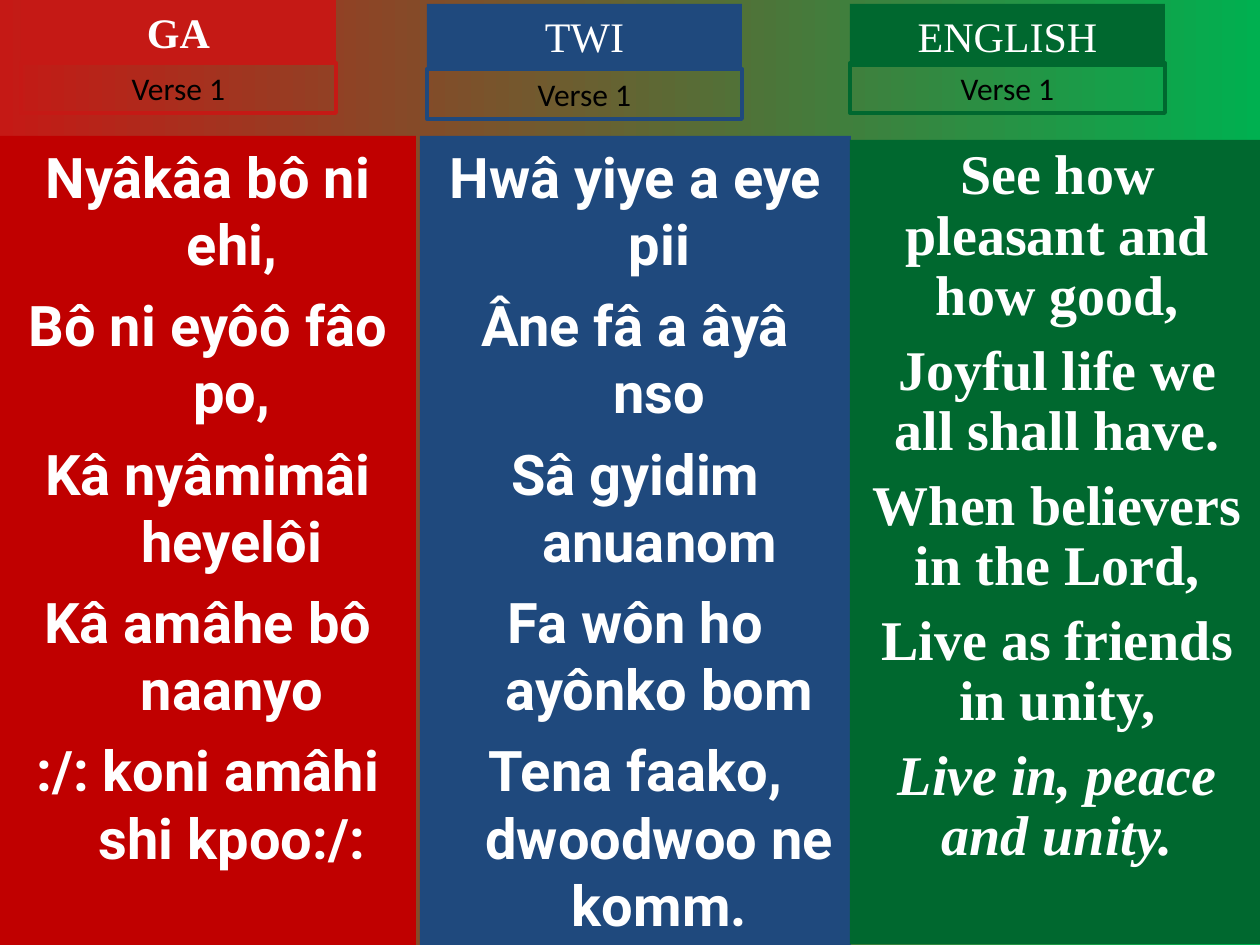
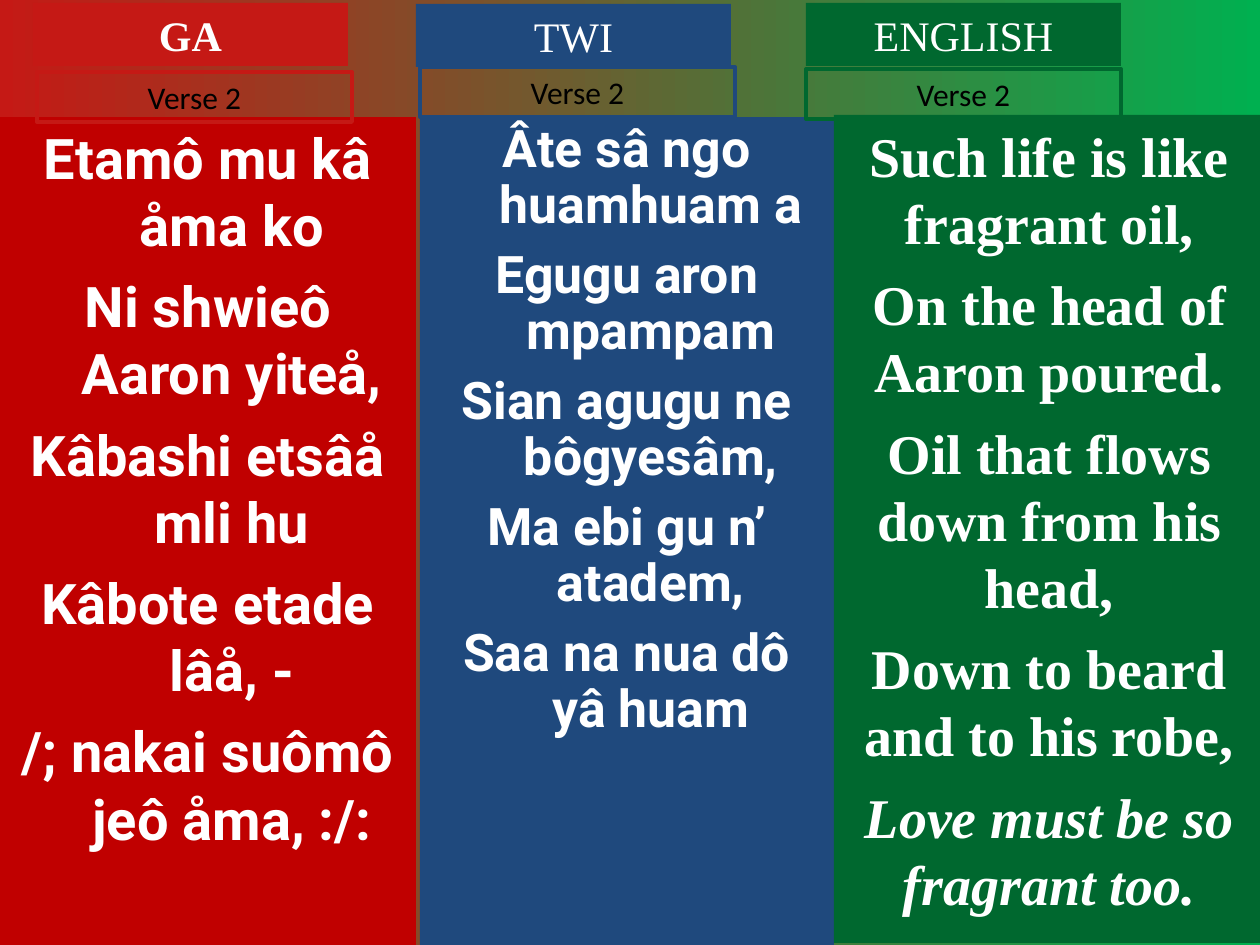
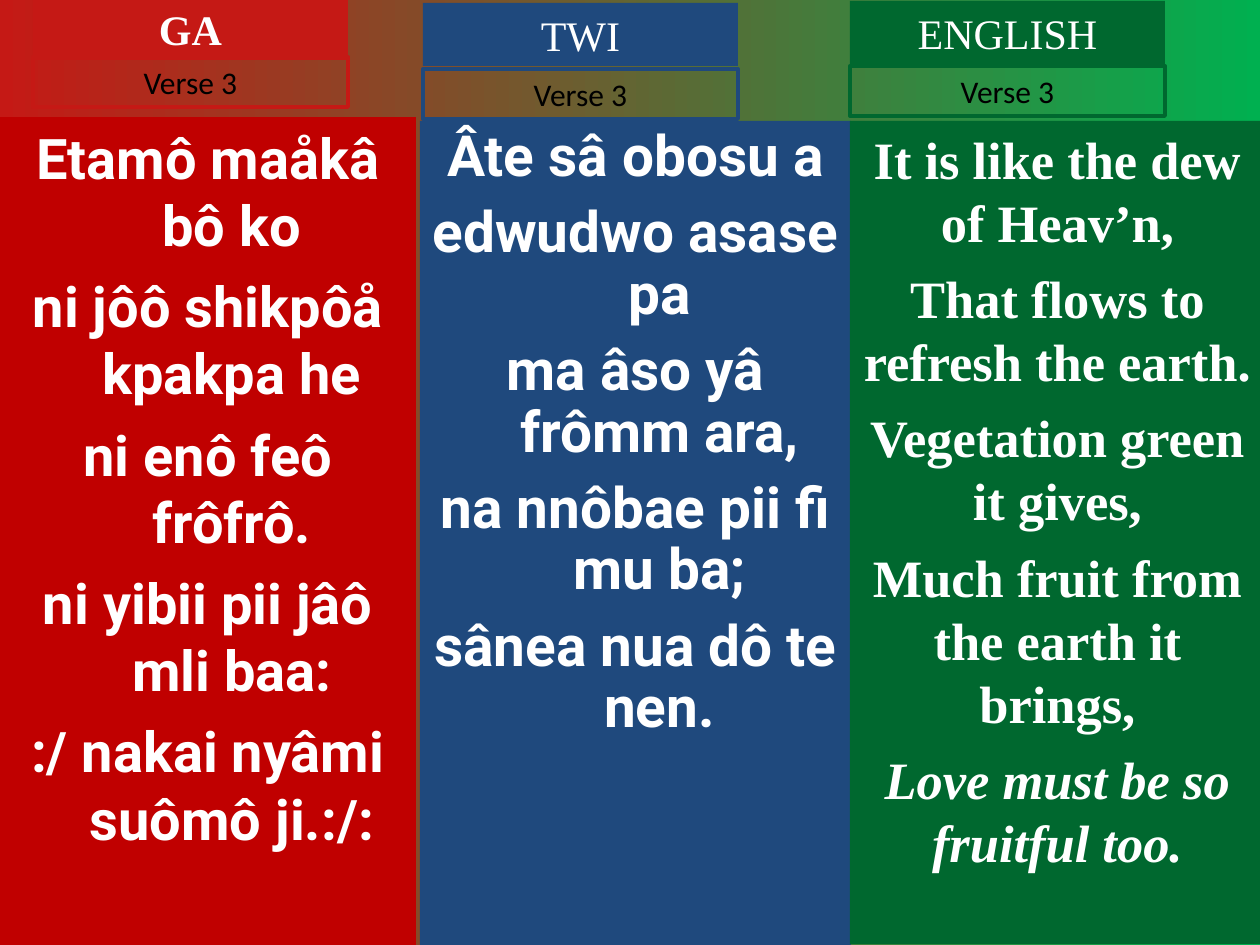
from pptx import Presentation
from pptx import util as u
from pptx.dml.color import RGBColor
from pptx.enum import shapes, text

PX = 914400 / 126
COLORS = {
    "red": "C51915",
    "deep_red": "C00000",
    "blue": "1F497D",
    "green": "00682F",
    "bright_green": "00B050",
    "white": "FFFFFF",
    "black": "000000",
}
SERIF, SANS, LABEL = "Times New Roman", "Roboto", "Calibri"
LANGUAGES = [
    {"name": "GA", "label": "red", "panel": "deep_red", "font": SANS,
     "hang": 48, "bold_head": True, "refrain": False},
    {"name": "TWI", "label": "blue", "panel": "blue", "font": SANS,
     "hang": 48, "bold_head": False, "refrain": False},
    {"name": "ENGLISH", "label": "green", "panel": "green", "font": SERIF,
     "hang": 0, "bold_head": False, "refrain": True},
]
LABEL_W, HEAD_H, VERSE_H = 315, 63, 50

VERSES = [
    [
        {"panel": (0, 136, 416, 809), "head": (21, 0), "verse": (21, 63),
         "lines": ["Nyâkâa bô ni ehi,", "Bô ni eyôô fâo po,",
                   "Kâ nyâmimâi heyelôi", "Kâ amâhe bô naanyo",
                   ":/: koni amâhi shi kpoo:/:"]},
        {"panel": (420, 136, 431, 809), "head": (427, 4), "verse": (427, 69),
         "lines": ["Hwâ yiye a eye pii", "Âne fâ a âyâ nso",
                   "Sâ gyidim anuanom", "Fa wôn ho ayônko bom",
                   "Tena faako, dwoodwoo ne komm."]},
        {"panel": (850, 140, 415, 804), "head": (850, 4), "verse": (850, 63),
         "spacing": 0.9,
         "lines": ["See how pleasant and how good,",
                   "Joyful life we all shall have.",
                   "When believers in the Lord,",
                   "Live as friends in unity,",
                   "Live in, peace and unity."]},
    ],
    [
        {"panel": (0, 117, 416, 828), "head": (33, 3), "verse": (37, 72),
         "lines": ["Etamô mu kâ åma ko", "Ni shwieô Aaron yiteå,",
                   "Kâbashi etsâå mli hu", "Kâbote etade lâå, -",
                   "/; nakai suômô jeô åma, :/:"]},
        {"panel": (420, 117, 414, 828), "head": (416, 4), "verse": (420, 67),
         "size": 29.6, "spacing": 0.9,
         "lines": ["Âte sâ ngo huamhuam a", "Egugu aron mpampam",
                   "Sian agugu ne bôgyesâm,", "Ma ebi gu n’ atadem,",
                   "Saa na nua dô yâ huam"]},
        {"panel": (834, 115, 431, 828), "head": (806, 3), "verse": (806, 69),
         "lines": ["Such life is like fragrant oil,",
                   "On the head of Aaron poured.",
                   "Oil that flows down from his head,",
                   "Down to beard and to his robe,",
                   "Love must be so fragrant too."]},
    ],
    [
        {"panel": (0, 117, 416, 828), "head": (33, -3), "verse": (33, 57),
         "lines": ["Etamô maåkâ bô ko", "ni jôô shikpôå kpakpa he",
                   "ni enô feô frôfrô.", "ni yibii pii jâô mli baa:",
                   ":/ nakai nyâmi suômô ji.:/:"]},
        {"panel": (420, 121, 431, 824), "head": (423, 3), "verse": (423, 69),
         "size": 32.4, "spacing": 0.9, "before": 8.8,
         "lines": ["Âte sâ obosu a", "edwudwo asase pa",
                   "ma âso yâ frômm ara,", "na nnôbae pii fi mu ba;",
                   "sânea nua dô te nen."]},
        {"panel": (850, 121, 415, 823), "head": (850, 1), "verse": (850, 66),
         "size": 30, "before": 7.5,
         "lines": ["It is like the dew of Heav’n,",
                   "That flows to refresh the earth.",
                   "Vegetation green it gives,",
                   "Much fruit from the earth it brings,",
                   "Love must be so fruitful too."]},
    ],
]


def px(n):
    return u.Emu(round(n * PX))


def pt(n):
    return u.Emu(round(n * 12700))


def color(name):
    return RGBColor.from_string(COLORS[name])


def add_background(s):
    fill = s.background.fill
    fill.gradient()
    fill.gradient_angle = 0
    for stop, name in zip(fill.gradient_stops, ("red", "bright_green")):
        stop.color.rgb = color(name)


def add_box(s, box, fill=None, line=None):
    sp = s.shapes.add_shape(shapes.MSO_SHAPE.RECTANGLE, *map(px, box))
    sp.shadow.inherit = False
    if fill:
        sp.fill.solid()
        sp.fill.fore_color.rgb = color(fill)
    else:
        sp.fill.background()
    if line:
        sp.line.color.rgb = color(line)
        sp.line.width = pt(2.25)
    else:
        sp.line.fill.background()
    tf = sp.text_frame
    tf.word_wrap = True
    tf.vertical_anchor = text.MSO_ANCHOR.TOP
    return tf


def add_run(p, words, font, size, ink, bold=False, italic=False):
    p.alignment = text.PP_ALIGN.CENTER
    r = p.add_run()
    r.text = words
    r.font.name = font
    r.font.size = pt(size)
    r.font.bold = bold
    r.font.italic = italic
    r.font.color.rgb = color(ink)


def add_label(s, at, height, words, font, size, ink, bold=False, **paint):
    tf = add_box(s, (*at, LABEL_W, height), **paint)
    tf.auto_size = text.MSO_AUTO_SIZE.SHAPE_TO_FIT_TEXT
    add_run(tf.paragraphs[0], words, font, size, ink, bold)


def add_lyrics(s, language, column):
    tf = add_box(s, column["panel"], fill=language["panel"])
    lines = column["lines"]
    for i, words in enumerate(lines):
        p = tf.add_paragraph() if i else tf.paragraphs[0]
        p.space_before = pt(column.get("before", 8) if i else 0)
        p.line_spacing = column.get("spacing", 1.0)
        if language["hang"]:
            pPr = p._p.get_or_add_pPr()
            pPr.set("marL", str(px(language["hang"])))
            pPr.set("indent", str(px(-language["hang"])))
        last = i == len(lines) - 1
        add_run(p, words, language["font"], column.get("size", 32), "white",
                bold=True, italic=last and language["refrain"])


def add_verse_slide(prs, number, columns):
    s = prs.slides.add_slide(prs.slide_layouts[6])
    add_background(s)
    for language, column in zip(LANGUAGES, columns):
        add_lyrics(s, language, column)
        add_label(s, column["head"], HEAD_H, language["name"], SERIF, 24,
                  "white", language["bold_head"], fill=language["label"])
        add_label(s, column["verse"], VERSE_H, f"Verse {number}", LABEL, 18,
                  "black", line=language["label"])


def main():
    prs = Presentation()
    prs.slide_width = px(1260)
    prs.slide_height = px(945)
    for number, columns in enumerate(VERSES, 1):
        add_verse_slide(prs, number, columns)
    prs.save("out.pptx")


if __name__ == "__main__":
    main()
